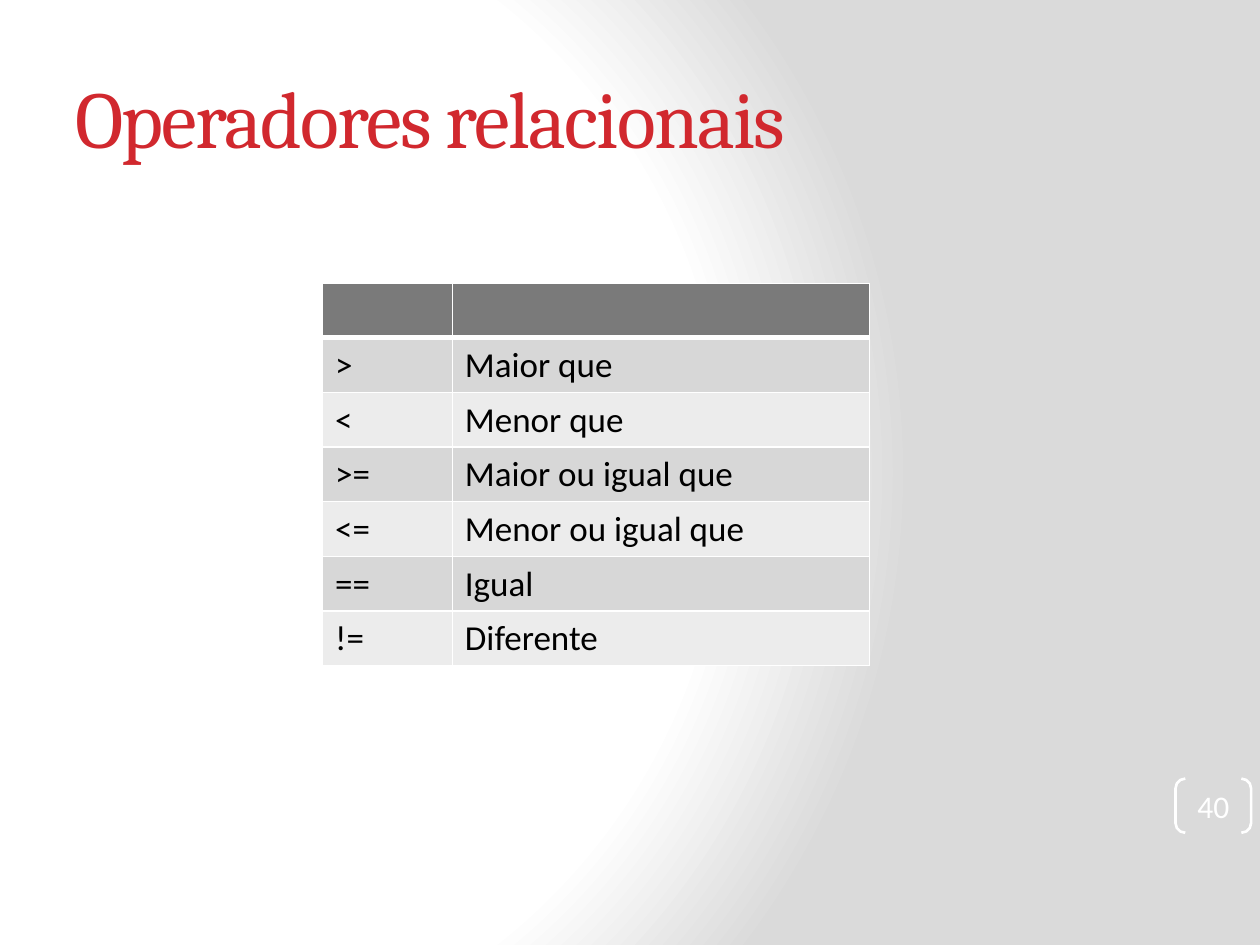
"""Build the slide on relational operators."""
from dataclasses import dataclass
from typing import Any

from pptx import Presentation
from pptx import util as u
from pptx.dml.color import RGBColor
from pptx.enum import shapes, text
from pptx.oxml import parse_xml
from pptx.oxml.ns import nsdecls

COLORS = {
    "title": "D1282E",
    "header": "7A7A7A",
    "odd": "D7D7D7",
    "even": "ECECEC",
    "body": "000000",
    "white": "FFFFFF",
    "edge": "DADADA",
}
STOPS = ((0, "white"), (75, "white"), (100, "edge"))
COLUMNS = (1.03, 3.31)
ROW_HEIGHT = 0.43


@dataclass(frozen=True)
class Style:
    font: str
    size: float
    color: str


@dataclass(frozen=True)
class Operator:
    symbol: str
    meaning: str


TITLE = Style("Cambria", 46, "title")
BODY = Style("Calibri", 20, "body")
NUMBER = Style("Calibri", 18, "white")

OPERATORS = (
    Operator(">", "Maior que"),
    Operator("<", "Menor que"),
    Operator(">=", "Maior ou igual que"),
    Operator("<=", "Menor ou igual que"),
    Operator("==", "Igual"),
    Operator("!=", "Diferente"),
)


def rgb(name: str) -> RGBColor:
    """Return the named colour."""
    return RGBColor.from_string(COLORS[name])


def set_attrs(target: Any, values: dict[str, Any]) -> None:
    """Set each format value on the target."""
    for name, value in values.items():
        setattr(target, name, value)


def write(tf: Any, content: str, style: Style) -> Any:
    """Write one styled run and return it."""
    r = tf.paragraphs[0].add_run()
    r.text = content
    set_attrs(r.font, {"name": style.font, "size": u.Pt(style.size)})
    r.font.color.rgb = rgb(style.color)
    return r


def paint_background(s: Any) -> None:
    """Fill the background with a circular gradient."""
    stops = "".join(
        f'<a:gs pos="{pos * 1000}"><a:srgbClr val="{COLORS[name]}"/></a:gs>'
        for pos, name in STOPS
    )
    s.element.cSld.insert(0, parse_xml(
        f'<p:bg {nsdecls("p", "a")}><p:bgPr><a:gradFill rotWithShape="1">'
        f'<a:gsLst>{stops}</a:gsLst><a:path path="circle">'
        '<a:fillToRect l="20000" t="50000" r="100000" b="50000"/></a:path>'
        '</a:gradFill><a:effectLst/></p:bgPr></p:bg>'
    ))


def add_title(s: Any, content: str) -> None:
    """Add the slide title."""
    sp = s.shapes.add_textbox(
        u.Inches(0.5), u.Inches(0.3), u.Inches(8.33), u.Inches(1.25))
    tf = sp.text_frame
    set_attrs(tf, {"word_wrap": True, "vertical_anchor": text.MSO_ANCHOR.MIDDLE})
    r = write(tf, content, TITLE)
    r.font._element.set("spc", "-100")


def style_cell(cell: Any, fill: str, bottom: float) -> None:
    """Fill a cell and draw its white borders."""
    cell.fill.solid()
    cell.fill.fore_color.rgb = rgb(fill)
    tc_pr = cell._tc.get_or_add_tcPr()
    widths = {"L": 1, "R": 1, "T": 1, "B": bottom}
    for i, (side, width) in enumerate(widths.items()):
        tc_pr.insert(i, parse_xml(
            f'<a:ln{side} {nsdecls("a")} w="{u.Pt(width)}"><a:solidFill>'
            f'<a:srgbClr val="{COLORS["white"]}"/></a:solidFill></a:ln{side}>'
        ))


def add_operator_table(s: Any, operators: tuple[Operator, ...]) -> None:
    """Add the table of operators below an empty header row."""
    rows = [("", "")] + [(op.symbol, op.meaning) for op in operators]
    table = s.shapes.add_table(
        len(rows), len(COLUMNS), u.Inches(2.56), u.Inches(2.25),
        u.Inches(sum(COLUMNS)), u.Inches(ROW_HEIGHT * len(rows))).table
    for column, width in zip(table.columns, COLUMNS):
        column.width = u.Inches(width)
    for i, values in enumerate(rows):
        table.rows[i].height = u.Inches(ROW_HEIGHT)
        fill = "header" if i == 0 else ("even", "odd")[i % 2]
        for j, value in enumerate(values):
            cell = table.cell(i, j)
            style_cell(cell, fill, 3 if i == 0 else 1)
            if value:
                write(cell.text_frame, value, BODY)


def add_page_number(s: Any, number: str) -> None:
    """Add the page number between brackets."""
    sp = s.shapes.add_shape(
        shapes.MSO_SHAPE.DOUBLE_BRACKET,
        u.Inches(9.33), u.Inches(6.18), u.Inches(0.6), u.Inches(0.43))
    sp.adjustments[0] = 0.18
    sp.shadow.inherit = False
    sp.fill.background()
    sp.line.color.rgb = rgb("white")
    sp.line.width = u.Pt(1.5)
    tf = sp.text_frame
    margins = {f"margin_{side}": 0 for side in ("left", "top", "right", "bottom")}
    set_attrs(tf, {**margins, "vertical_anchor": text.MSO_ANCHOR.MIDDLE})
    write(tf, number, NUMBER)
    p = tf.paragraphs[0]
    p.alignment = text.PP_ALIGN.CENTER


def main() -> None:
    """Create and save the presentation."""
    prs = Presentation()
    set_attrs(prs, {"slide_width": u.Inches(10), "slide_height": u.Inches(7.5)})
    s = prs.slides.add_slide(prs.slide_layouts[6])
    paint_background(s)
    add_title(s, "Operadores relacionais")
    add_operator_table(s, OPERATORS)
    add_page_number(s, "40")
    prs.save("out.pptx")


if __name__ == "__main__":
    main()
